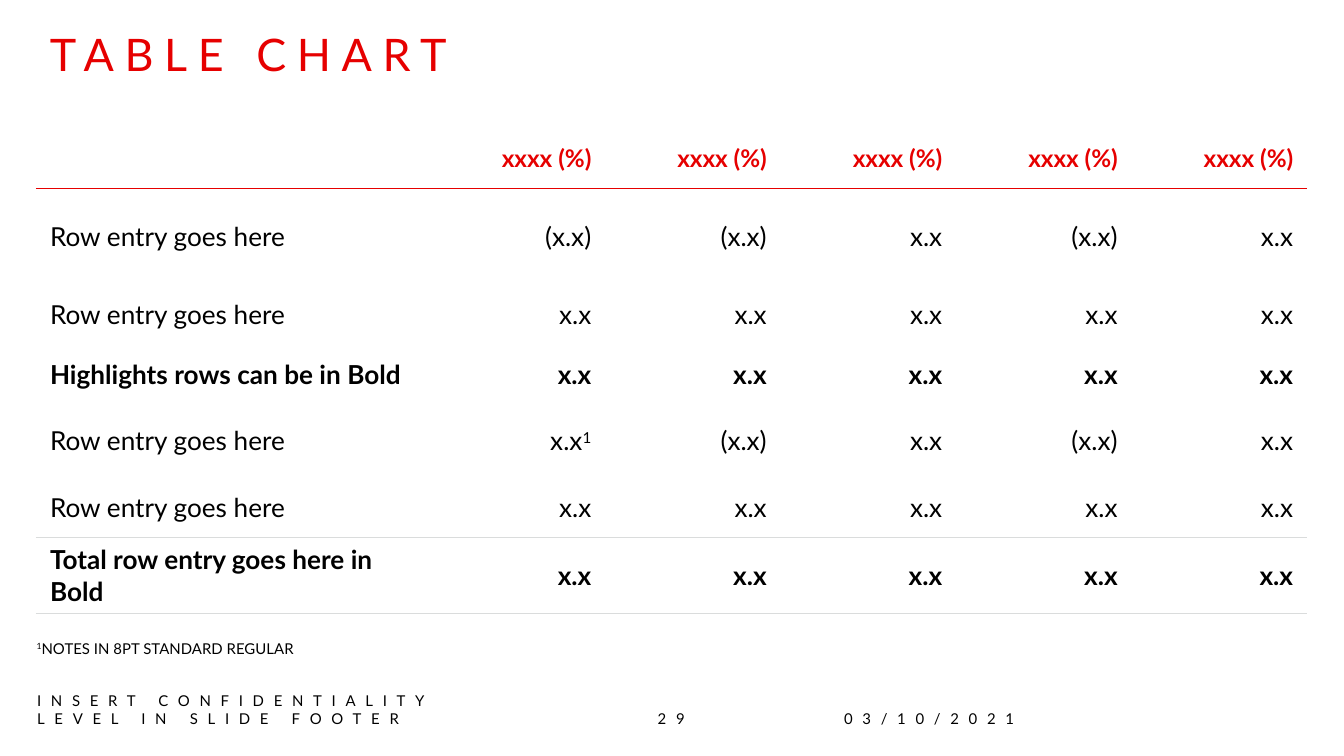
import pptx
import pptx.dml.color
import pptx.enum.text
import pptx.oxml
import pptx.oxml.ns
import pptx.util
from itertools import pairwise

Pt = pptx.util.Pt
ALIGN = pptx.enum.text.PP_ALIGN
ANCHOR = pptx.enum.text.MSO_ANCHOR
RED, BLACK, WHITE, GREY = "E60000", "000000", "FFFFFF", "DADCDC"


def color(hex_code):
    return pptx.dml.color.RGBColor.from_string(hex_code)


def write(frame, text, *, size, ink=BLACK, bold=False, align=ALIGN.LEFT,
          tracking=0, line_spacing=None, hanging=0):
    """Fill a text frame; a part between two ^ marks is superscript."""
    paragraph = frame.paragraphs[0]
    paragraph.alignment = align
    if line_spacing:
        paragraph.line_spacing = line_spacing
    if hanging:
        properties = paragraph._p.get_or_add_pPr()
        properties.set("marL", str(Pt(hanging)))
        properties.set("indent", str(-Pt(hanging)))
    for index, part in enumerate(text.split("^")):
        if not part:
            continue
        run = paragraph.add_run()
        run.text = part
        run.font.name = "Lato"
        run.font.size = Pt(size)
        run.font.bold = bold
        run.font.color.rgb = color(ink)
        properties = run._r.get_or_add_rPr()
        if tracking:
            properties.set("spc", str(round(tracking * 100)))
        if index % 2:
            properties.set("baseline", "30000")


class SlideBuilder:
    def __init__(self, slide):
        self.slide = slide

    def text(self, words, left, top, width, height, anchor=ANCHOR.BOTTOM,
             inset=(0, 0), **style):
        box = self.slide.shapes.add_textbox(Pt(left), Pt(top), Pt(width), Pt(height))
        frame = box.text_frame
        frame.word_wrap = True
        frame.vertical_anchor = anchor
        frame.margin_left = frame.margin_right = Pt(inset[0])
        frame.margin_top = frame.margin_bottom = Pt(inset[1])
        write(frame, words, **style)

    def footer(self, words, left, width, align=ALIGN.LEFT):
        self.text(words, left, 370.8, width, 18.7, size=8, tracking=5.2, align=align)

    def borders(self, cell, top, bottom):
        properties = cell._tc.get_or_add_tcPr()
        for side, ink in (("L", WHITE), ("R", WHITE), ("T", top), ("B", bottom)):
            properties.append(pptx.oxml.parse_xml(
                f'<a:ln{side} {pptx.oxml.ns.nsdecls("a")} w="{Pt(1)}">'
                f'<a:solidFill><a:srgbClr val="{ink}"/></a:solidFill></a:ln{side}>'))

    def table(self, rows, left, top, widths, heights, rules, highlights):
        """rules holds the colours of the horizontal lines, top to bottom."""
        grid = self.slide.shapes.add_table(
            len(rows), len(widths), Pt(left), Pt(top),
            Pt(sum(widths)), Pt(sum(heights))).table
        grid.horz_banding = False
        for column, width in zip(grid.columns, widths):
            column.width = Pt(width)
        for r, (entries, height, edges) in enumerate(zip(rows, heights, pairwise(rules))):
            grid.rows[r].height = Pt(height)
            header = r == 0
            for c, entry in enumerate(entries):
                cell = grid.cell(r, c)
                self.borders(cell, *edges)
                cell.fill.background()
                cell.vertical_anchor = ANCHOR.MIDDLE
                write(cell.text_frame, entry, size=13 if header else 14,
                      ink=RED if header else BLACK,
                      bold=header or r in highlights,
                      align=ALIGN.RIGHT if c else ALIGN.LEFT)


def main():
    deck = pptx.Presentation()
    deck.slide_width, deck.slide_height = Pt(720), Pt(405)
    page = SlideBuilder(deck.slides.add_slide(deck.slide_layouts[6]))

    # Title
    page.text("TABLE CHART", 19.6, 16.6, 680.4, 52.6, anchor=ANCHOR.TOP,
              inset=(7.2, 3.6), size=24, ink=RED, tracking=5.7, line_spacing=0.8)

    # Footer
    page.footer("03/10/2021", 452.2, 155.5)
    page.footer("INSERT CONFIDENTIALITY LEVEL IN SLIDE FOOTER", 19.9, 216.7)
    page.footer("29", 343.4, 32.4, align=ALIGN.CENTER)

    # Table
    entry = "Row entry goes here"
    plain = ["x.x"] * 5
    mixed = ["(x.x)", "x.x", "(x.x)", "x.x"]
    rows = [
        ["", *["xxxx (%)"] * 5],
        [entry, "(x.x)", *mixed],
        [entry, *plain],
        ["Highlights rows can be in Bold", *plain],
        [entry, "x.x^1^", *mixed],
        [entry, *plain],
        ["Total row entry goes here in Bold", *plain],
    ]
    page.table(rows, 19.6, 68.6, widths=[210.4] + [94] * 5,
               heights=[32.4, 51.1, 32.4, 32.4, 38.6, 32.4, 32.4],
               rules=[WHITE, RED, WHITE, WHITE, WHITE, WHITE, GREY, GREY],
               highlights={3, 6})

    # Footnote
    page.text("^1^NOTES IN 8PT STANDARD REGULAR", 19.6, 331.2, 283.7, 20.9,
              size=8, hanging=7.2)

    deck.save("out.pptx")


if __name__ == "__main__":
    main()
